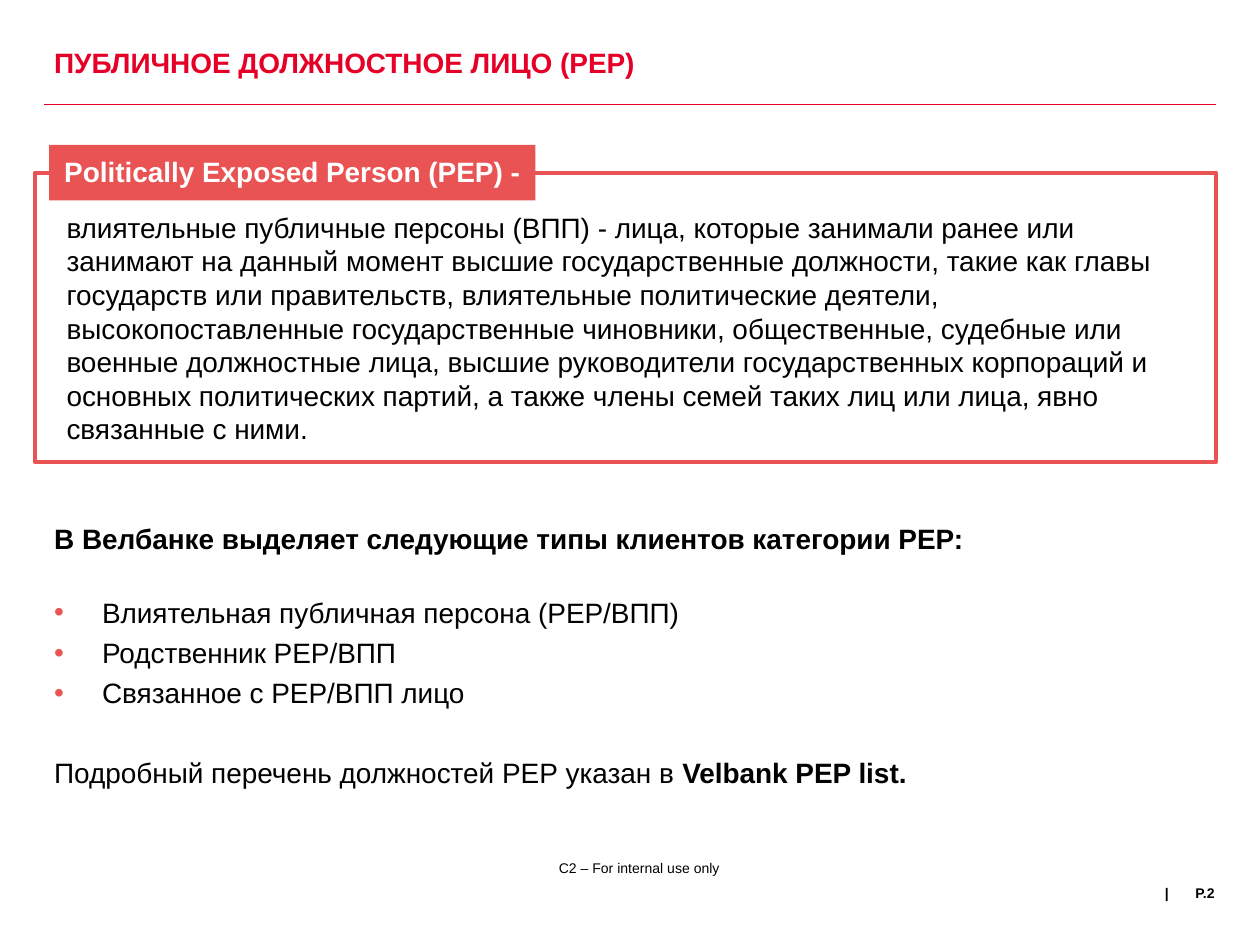
from lxml import etree
from pptx import Presentation
from pptx.dml.color import RGBColor
from pptx.enum.shapes import MSO_CONNECTOR, MSO_SHAPE
from pptx.enum.text import MSO_ANCHOR, MSO_AUTO_SIZE, PP_ALIGN
from pptx.oxml.ns import qn
from pptx.util import Inches, Pt

LEFT, CENTER, RIGHT = PP_ALIGN.LEFT, PP_ALIGN.CENTER, PP_ALIGN.RIGHT
TOP, MIDDLE = MSO_ANCHOR.TOP, MSO_ANCHOR.MIDDLE
NO_FIT = MSO_AUTO_SIZE.NONE
STRAIGHT, RECTANGLE = MSO_CONNECTOR.STRAIGHT, MSO_SHAPE.RECTANGLE

THEME = {
    "font": "Arial",
    "title": "E60028", "accent": "E95353", "text": "000000", "light": "FFFFFF",
    "size": 16, "small": 8,
}

# Content
TITLE = "ПУБЛИЧНОЕ ДОЛЖНОСТНОЕ ЛИЦО (РЕР)"
TERM = "Politically Exposed Person (PEP) -"
DEFINITION = (
    "влиятельные публичные персоны (ВПП) - лица, которые занимали ранее или "
    "занимают на данный момент высшие государственные должности, такие как главы "
    "государств или правительств, влиятельные политические деятели, "
    "высокопоставленные государственные чиновники, общественные, судебные или "
    "военные должностные лица, высшие руководители государственных корпораций и "
    "основных политических партий, а также члены семей таких лиц или лица, явно "
    "связанные с ними."
)
# Each body paragraph: spans of (text, bold), bulleted, points before
BODY = [
    ([("В Велбанке выделяет следующие типы клиентов категории РЕР:", True)], False, 0),
    ([("Влиятельная публичная персона (РЕР/ВПП)", False)], True, 23),
    ([("Родственник РЕР/ВПП", False)], True, 3.8),
    ([("Связанное с РЕР/ВПП лицо", False)], True, 3.8),
    ([("Подробный перечень должностей РЕР указан в ", False),
      ("Velbank PEP list.", True)], False, 26.5),
]
# Text boxes: text, place, format values
TEXTS = [
    ("|", (9.22, 7.02, 0.08, 0.48),
     {"size": "small", "bold": True, "align": CENTER, "wrap": False}),
    ("P.2", (9.25, 7.02, 0.39, 0.48),
     {"size": "small", "bold": True, "align": RIGHT}),
    ("C2 – For internal use only", (3.11, 6.82, 3.93, 0.4),
     {"size": "small", "align": CENTER}),
    (TERM, (0.51, 1.23, 9.14, 0.37), {"bold": True, "color": "light"}),
    (DEFINITION, (0.43, 1.62, 9.13, 1.99), {"margins": (0.1, 0.05)}),
]


def color(name):
    return RGBColor.from_string(THEME[name])


def place(box, bounds):
    for name, value in zip(("left", "top", "width", "height"), bounds):
        setattr(box, name, Inches(value))


def format_frame(frame, margins=(0, 0), wrap=True, anchor=TOP):
    side, edge = map(Inches, margins)
    values = {
        "margin_left": side, "margin_right": side,
        "margin_top": edge, "margin_bottom": edge,
        "word_wrap": wrap, "vertical_anchor": anchor, "auto_size": NO_FIT,
    }
    for name, value in values.items():
        setattr(frame, name, value)


def add_span(para, text, size="size", bold=False, tint="text"):
    span = para.add_run()
    span.text = text
    values = {"name": THEME["font"], "size": Pt(THEME[size]), "bold": bold}
    for name, value in values.items():
        setattr(span.font, name, value)
    span.font.color.rgb = color(tint)


def set_bullet(para, bulleted):
    indent = Inches(0.38) if bulleted else 0
    properties = para._p.get_or_add_pPr()
    properties.set("marL", str(indent))
    properties.set("indent", str(-indent))
    if not bulleted:
        etree.SubElement(properties, qn("a:buNone"))
        return
    bullet_color = etree.SubElement(properties, qn("a:buClr"))
    etree.SubElement(bullet_color, qn("a:srgbClr"), val=THEME["accent"])
    etree.SubElement(properties, qn("a:buFont"), typeface=THEME["font"])
    etree.SubElement(properties, qn("a:buChar"), char="•")


def add_rectangle(page, bounds, filled):
    box = page.shapes.add_shape(RECTANGLE, *map(Inches, bounds))
    box.shadow.inherit = False
    if filled:
        box.fill.solid()
        box.fill.fore_color.rgb = color("accent")
        box.line.fill.background()
    else:
        box.fill.background()
        box.line.color.rgb = color("accent")
        box.line.width = Pt(2.25)


def add_rule(page):
    rule = page.shapes.add_connector(
        STRAIGHT, *map(Inches, (9.65, 0.83, 0.35, 0.83)))
    rule.line.color.rgb = color("title")
    rule.line.width = Pt(0.5)
    etree.SubElement(rule._element.spPr, qn("a:effectLst"))


def add_text(page, text, bounds, style):
    frame = page.shapes.add_textbox(*map(Inches, bounds)).text_frame
    format_frame(frame, style.get("margins", (0, 0)), style.get("wrap", True))
    para = frame.paragraphs[0]
    para.alignment = style.get("align", LEFT)
    add_span(para, text, style.get("size", "size"),
             style.get("bold", False), style.get("color", "text"))


def fill_title(box):
    place(box, (0.43, 0.21, 9.13, 0.63))
    format_frame(box.text_frame, anchor=MIDDLE)
    para = box.text_frame.paragraphs[0]
    para.alignment = LEFT
    para.line_spacing = 0.7
    add_span(para, TITLE, bold=True, tint="title")


def fill_body(box):
    place(box, (0.43, 4.14, 8.78, 2.68))
    frame = box.text_frame
    format_frame(frame)
    for index, (spans, bulleted, before) in enumerate(BODY):
        para = frame.add_paragraph() if index else frame.paragraphs[0]
        set_bullet(para, bulleted)
        para.alignment = LEFT
        para.space_before = Pt(before)
        for text, bold in spans:
            add_span(para, text, bold=bold)


def main():
    deck = Presentation()
    deck.slide_width, deck.slide_height = Inches(10), Inches(7.5)
    page = deck.slides.add_slide(deck.slide_layouts[1])

    # Title, rule and list
    fill_title(page.shapes.title)
    fill_body(page.placeholders[1])
    add_rule(page)

    # Definition frame with its label
    add_rectangle(page, (0.28, 1.37, 9.37, 2.3), filled=False)
    add_rectangle(page, (0.39, 1.15, 3.86, 0.44), filled=True)

    # Definition texts and footer
    for text, bounds, style in TEXTS:
        add_text(page, text, bounds, style)

    deck.save("out.pptx")


if __name__ == "__main__":
    main()
